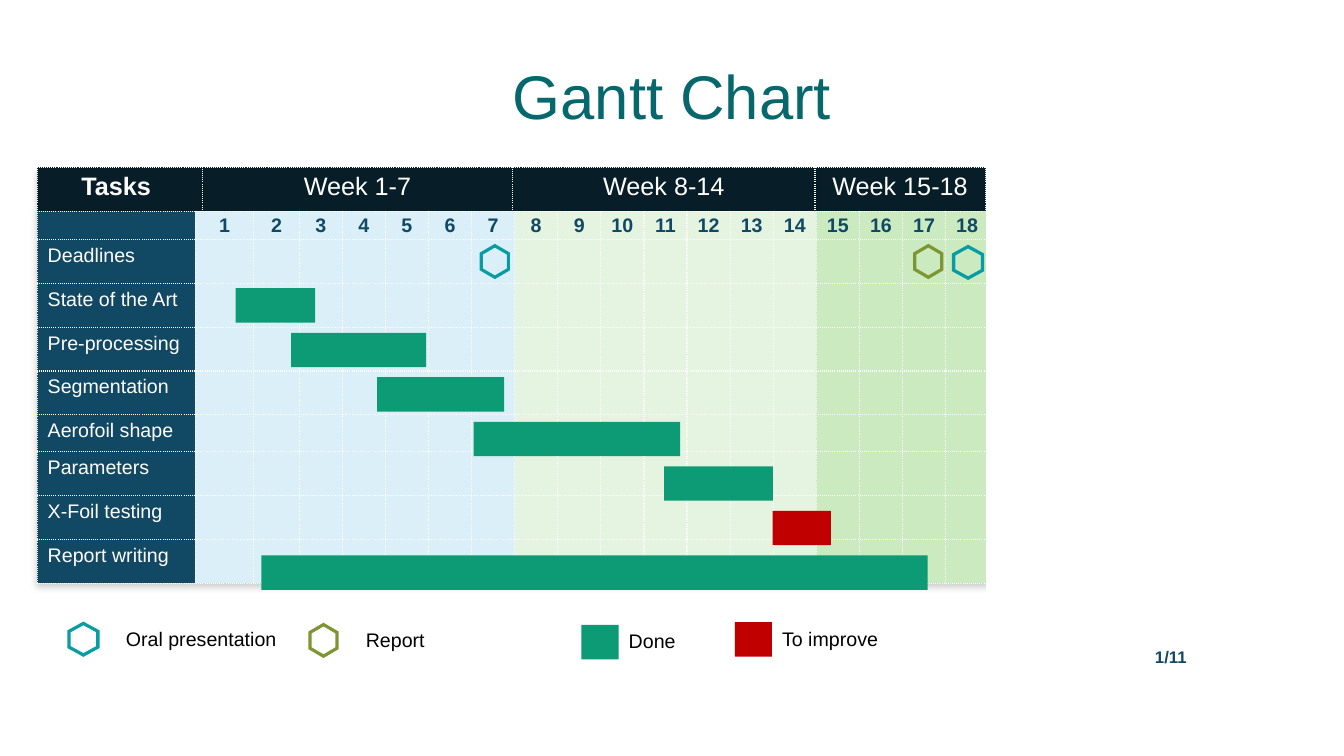
from dataclasses import dataclass
from lxml import etree
from pptx import Presentation
from pptx.dml.color import RGBColor
from pptx.enum import shapes, text
from pptx.oxml.ns import qn
from pptx.util import Pt


@dataclass(frozen=True)
class Theme:
    font: str = "Arial"
    white: str = "FFFFFF"
    black: str = "000000"
    title: str = "06686C"
    header: str = "071D28"
    navy: str = "114864"
    early: str = "DBEFF9"
    middle: str = "E5F4E0"
    late: str = "CBEAC0"
    done: str = "0C9B74"
    improve: str = "C00000"
    oral: str = "089CA3"
    report: str = "7E9632"
    title_size: float = 44
    header_size: float = 18
    body_size: float = 14
    small_size: float = 12


THEME = Theme()
CENTER = text.PP_ALIGN.CENTER
MIDDLE = text.MSO_ANCHOR.MIDDLE

# Chart grid, in points
LEFT, HEADER_TOP, ROW_HEIGHT = 26.5, 119.5, 31.35
WEEKS = 18
BODY_COLUMNS = [113, 41.8, 32.4] + [30.8] * 16
BAR_TOP, BAR_STEP, BAR_HEIGHT = 205.9, 31.8, 24.6

# Left edge, column widths and headings of each header table
HEADERS = [
    (562.3, [19.4, 122.4, 21.6], ["", "Week 15-18", ""]),
    (LEFT, [118, 221.7, 216], ["Tasks ", "Week 1-7", "Week 8-14"]),
]

# Task name, bar left, bar width, bar colour
TASKS = [
    ("State of the Art", 168.3, 56.9, THEME.done),
    ("Pre-processing", 207.9, 96.5, THEME.done),
    ("Segmentation", 269.4, 90.7, THEME.done),
    ("Aerofoil shape", 338.3, 147.6, THEME.done),
    ("Parameters", 474.3, 77.8, THEME.done),
    ("X-Foil testing", 552, 41.6, THEME.improve),
    ("Report writing", 186.7, 476, THEME.done),
]


def rgb(color):
    return RGBColor.from_string(color)


def write(paragraph, words, size, color, bold=False, **layout):
    """Put one formatted run in a paragraph."""
    run = paragraph.add_run()
    run.text = words
    run.font.color.rgb = rgb(color)
    formats = {"name": THEME.font, "size": Pt(size), "bold": bold}
    for target, values in ((run.font, formats), (paragraph, layout)):
        for name, value in values.items():
            setattr(target, name, value)


def add_text(slide, box, words, size, color, bold=False, anchor=None, **layout):
    frame = slide.shapes.add_textbox(*map(Pt, box)).text_frame
    frame.word_wrap = True
    frame.vertical_anchor = anchor
    write(frame.paragraphs[0], words, size, color, bold, **layout)


def paint(shape, color):
    shape.shadow.inherit = False
    shape.fill.solid()
    shape.fill.fore_color.rgb = rgb(color)
    shape.line.fill.background()


def add_bar(slide, left, top, width, color, height=BAR_HEIGHT):
    box = map(Pt, (left, top, width, height))
    bar = slide.shapes.add_shape(shapes.MSO_SHAPE.RECTANGLE, *box)
    paint(bar, color)
    return bar


def add_hexagon(slide, center_x, center_y, width, color):
    """Draw a hexagonal ring; the inner outline runs the other way round."""
    def outline(scale):
        half, tall = width / 2 * scale, 12.6 * scale
        corners = [(0, tall), (-half, tall / 2), (-half, -tall / 2),
                   (0, -tall), (half, -tall / 2), (half, tall / 2)]
        return [(Pt(center_x + x), Pt(center_y + y)) for x, y in corners]

    outer, inner = outline(1), outline(0.79)[::-1]
    builder = slide.shapes.build_freeform(*outer[0])
    builder.add_line_segments(outer[1:], close=True)
    builder.move_to(*inner[0])
    builder.add_line_segments(inner[1:], close=True)
    paint(builder.convert_to_shape(), color)


def add_grid(slide, left, top, columns, rows):
    box = map(Pt, (left, top, sum(columns), sum(rows)))
    table = slide.shapes.add_table(len(rows), len(columns), *box).table
    for column, width in zip(table.columns, columns):
        column.width = Pt(width)
    for row, height in zip(table.rows, rows):
        row.height = Pt(height)
    # Soft shadow below the table
    properties = table._tbl.tblPr
    effects = etree.Element(qn("a:effectLst"))
    shadow = etree.SubElement(effects, qn("a:outerShdw"), blurRad=str(Pt(5)),
                              dist=str(Pt(3)), dir="5400000")
    color = etree.SubElement(shadow, qn("a:srgbClr"), val=THEME.black)
    etree.SubElement(color, qn("a:alpha"), val="18000")
    properties.insert(0, effects)
    return table


def fill_cell(cell, fill, words="", size=THEME.body_size, color=THEME.white,
              bold=False, padded=True, anchor=None, **layout):
    cell.fill.solid()
    cell.fill.fore_color.rgb = rgb(fill)
    side, edge = (7.6, 3.6) if padded else (0, 0)
    formats = {"margin_left": Pt(side), "margin_right": Pt(side),
               "margin_top": Pt(edge), "margin_bottom": Pt(edge),
               "vertical_anchor": anchor}
    for name, value in formats.items():
        setattr(cell, name, value)
    paragraph = cell.text_frame.paragraphs[0]
    if words:
        write(paragraph, words, size, color, bold, **layout)
    else:
        etree.SubElement(paragraph._p, qn("a:endParaRPr"), sz=str(size * 100))
    # Dotted white borders
    properties = cell._tc.get_or_add_tcPr()
    for index, side_name in enumerate(("lnL", "lnR", "lnT", "lnB")):
        line = etree.Element(qn("a:" + side_name), w=str(Pt(1)))
        solid = etree.SubElement(line, qn("a:solidFill"))
        etree.SubElement(solid, qn("a:srgbClr"), val=THEME.white)
        etree.SubElement(line, qn("a:prstDash"), val="sysDot")
        properties.insert(index, line)


def add_schedule(slide):
    # Header tables with the three periods
    for left, columns, headings in HEADERS:
        header = add_grid(slide, left, HEADER_TOP, columns, [ROW_HEIGHT])
        for index, words in enumerate(headings):
            fill_cell(header.cell(0, index), THEME.header, words, THEME.header_size,
                      bold=words.startswith("Tasks"), alignment=CENTER)

    # Task names and weeks
    names = ["Deadlines"] + [task[0] for task in TASKS]
    heights = [20.2] + [26.4 if name == "Aerofoil shape" else ROW_HEIGHT for name in names]
    body = add_grid(slide, LEFT, HEADER_TOP + ROW_HEIGHT, BODY_COLUMNS, heights)
    for row, name in enumerate([""] + names):
        fill_cell(body.cell(row, 0), THEME.navy, name, padded=row > 0)
        for week in range(1, WEEKS + 1):
            fill = (THEME.early, THEME.middle, THEME.late)[(week - 1) // 7]
            fill_cell(body.cell(row, week), fill, str(week) if row == 0 else "",
                      color=THEME.navy, bold=True, padded=False, anchor=MIDDLE,
                      alignment=CENTER)

    # White panel that ends the tables in one straight edge
    panel = add_bar(slide, 704.9, 79.2, 57.6, THEME.white, 417.6)
    panel.line.color.rgb = rgb(THEME.white)
    panel.line.width = Pt(1)


def add_legend(slide):
    add_hexagon(slide, 59.6, 456.6, 23, THEME.oral)
    add_hexagon(slide, 231.1, 457.4, 21.6, THEME.report)
    add_bar(slide, 415.4, 446.4, 26.6, THEME.done)
    add_bar(slide, 524.9, 444.4, 26.6, THEME.improve)
    for words, left, top, width in [("Oral presentation", 82.8, 444.2, 130.3),
                                    ("Report", 254.2, 445, 72),
                                    ("Done", 442, 445.7, 49.7),
                                    ("To improve", 551.5, 444.2, 87.1)]:
        add_text(slide, (left, top, width, 24.2), words, THEME.body_size, THEME.black)


def main():
    presentation = Presentation()
    presentation.slide_width, presentation.slide_height = Pt(960), Pt(540)
    slide = presentation.slides.add_slide(presentation.slide_layouts[6])

    add_schedule(slide)
    add_text(slide, (66.2, 28.8, 828, 85), "Gantt Chart", THEME.title_size,
             THEME.title, anchor=MIDDLE, alignment=CENTER, line_spacing=0.9)

    # Task bars
    for index, (_, left, width, color) in enumerate(TASKS):
        add_bar(slide, left, BAR_TOP + index * BAR_STEP, width, color)

    # Deadline markers
    add_hexagon(slide, 353.5, 186.8, 21.6, THEME.oral)
    add_hexagon(slide, 663.1, 186.8, 21.6, THEME.report)
    add_hexagon(slide, 691.5, 187.4, 23, THEME.oral)

    add_legend(slide)
    add_text(slide, (817.9, 458.6, 38.9, 21.6), "1/11", THEME.small_size,
             THEME.navy, bold=True)
    presentation.save("out.pptx")


main()
